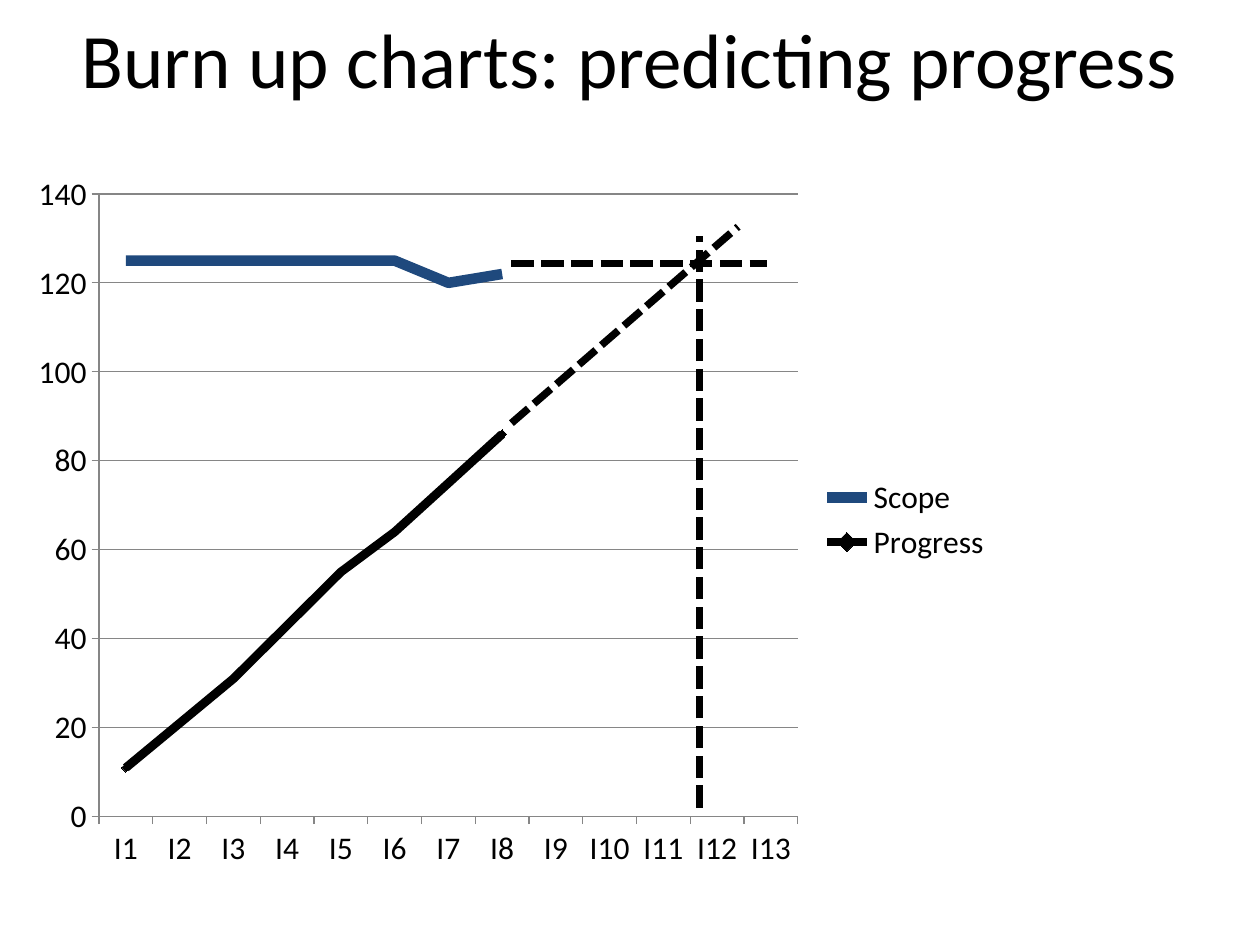
"""Build a burn up chart slide with dashed forecast lines."""
from lxml.etree import SubElement
from pptx import Presentation
from pptx.chart.data import CategoryChartData
from pptx.dml.color import RGBColor
from pptx.enum.chart import XL_CHART_TYPE, XL_LEGEND_POSITION, XL_MARKER_STYLE, XL_TICK_MARK
from pptx.enum.dml import MSO_LINE
from pptx.enum.shapes import MSO_CONNECTOR
from pptx.enum.text import MSO_ANCHOR, PP_ALIGN
from pptx.oxml.ns import qn
from pptx.util import Cm, Pt

TITLE = "Burn up charts: predicting progress"
FONT = "Calibri"
HUES = {"ink": "000000", "scope": "1F497D", "grid": "868686"}
COUNT = 13
SERIES = [
    ("Scope", [125, 125, 125, 125, 125, 125, 120, 122], "scope", 6),
    ("Progress", [11, 21, 31, 43, 55, 64, 75, 86], "ink", 5),
]
AREA = (0.41, 3.18, 19.84, 14.6)
PLOT = {"x": 0.08, "y": 0.05, "w": 0.71, "h": 0.86}
TRENDS = [
    (10.31, 5.31, 15.47, 5.31),
    (10.31, 8.53, 14.88, 4.57),
    (14.1, 16.28, 14.1, 4.75),
]


def hue(name):
    return RGBColor.from_string(HUES[name])


def style(font, size):
    font.name, font.size = FONT, Pt(size)
    font.color.rgb = hue("ink")


def stroke(line, name, width):
    line.color.rgb = hue(name)
    line.width = Pt(width)


def add_title(slide):
    box = slide.shapes.title
    box.left, box.top, box.width, box.height = Cm(0), Cm(0), Cm(25.4), Cm(2.34)
    frame = box.text_frame
    frame.text = TITLE
    frame.vertical_anchor = MSO_ANCHOR.MIDDLE
    para = frame.paragraphs[0]
    para.alignment = PP_ALIGN.CENTER
    style(para.font, 44)


def place_plot(chart):
    plot = chart.plots[0]
    area = chart.element.find(".//" + qn("c:plotArea"))
    for old in area.findall(qn("c:layout")):
        area.remove(old)
    frame = SubElement(area, qn("c:layout"))
    area.insert(0, frame)
    manual = SubElement(frame, qn("c:manualLayout"))
    parts = [("layoutTarget", "inner"), ("xMode", "edge"), ("yMode", "edge")]
    for tag, value in parts + list(PLOT.items()):
        SubElement(manual, qn("c:" + tag)).set("val", str(value))
    plot.vary_by_categories = False


def add_graph(slide):
    data = CategoryChartData()
    data.categories = [f"I{num}" for num in range(1, COUNT + 1)]
    for name, values, *_ in SERIES:
        data.add_series(name, values + [None] * (COUNT - len(values)))
    chart = slide.shapes.add_chart(
        XL_CHART_TYPE.LINE_MARKERS, *map(Cm, AREA), data).chart
    style(chart.font, 18)
    chart.has_title = False
    chart.has_legend = True
    chart.legend.position = XL_LEGEND_POSITION.RIGHT
    chart.legend.include_in_layout = False
    place_plot(chart)

    for axis in (chart.category_axis, chart.value_axis):
        axis.major_tick_mark = XL_TICK_MARK.OUTSIDE
        axis.minor_tick_mark = XL_TICK_MARK.NONE
        stroke(axis.format.line, "grid", 0.75)
    scale = chart.value_axis
    scale.minimum_scale, scale.maximum_scale, scale.major_unit = 0, 140, 20
    scale.has_major_gridlines = True
    stroke(scale.major_gridlines.format.line, "grid", 0.75)

    for item, (_, _, name, width) in zip(chart.plots[0].series, SERIES):
        item.smooth = False
        stroke(item.format.line, name, width)
        item.marker.style = XL_MARKER_STYLE.NONE
    mark = item.marker
    mark.style, mark.size = XL_MARKER_STYLE.DIAMOND, 5
    mark.format.fill.solid()
    mark.format.fill.fore_color.rgb = hue("ink")
    stroke(mark.format.line, "ink", 0.75)


def add_trends(slide):
    for ends in TRENDS:
        link = slide.shapes.add_connector(MSO_CONNECTOR.STRAIGHT, *map(Cm, ends))
        stroke(link.line, "ink", 4.25)
        link.line.dash_style = MSO_LINE.SQUARE_DOT
        SubElement(link.element.spPr, qn("a:effectLst"))


def main():
    deck = Presentation()
    deck.slide_width, deck.slide_height = Cm(25.4), Cm(19.05)
    slide = deck.slides.add_slide(deck.slide_layouts[5])
    add_title(slide)
    add_graph(slide)
    add_trends(slide)
    deck.save("out.pptx")


if __name__ == "__main__":
    main()
